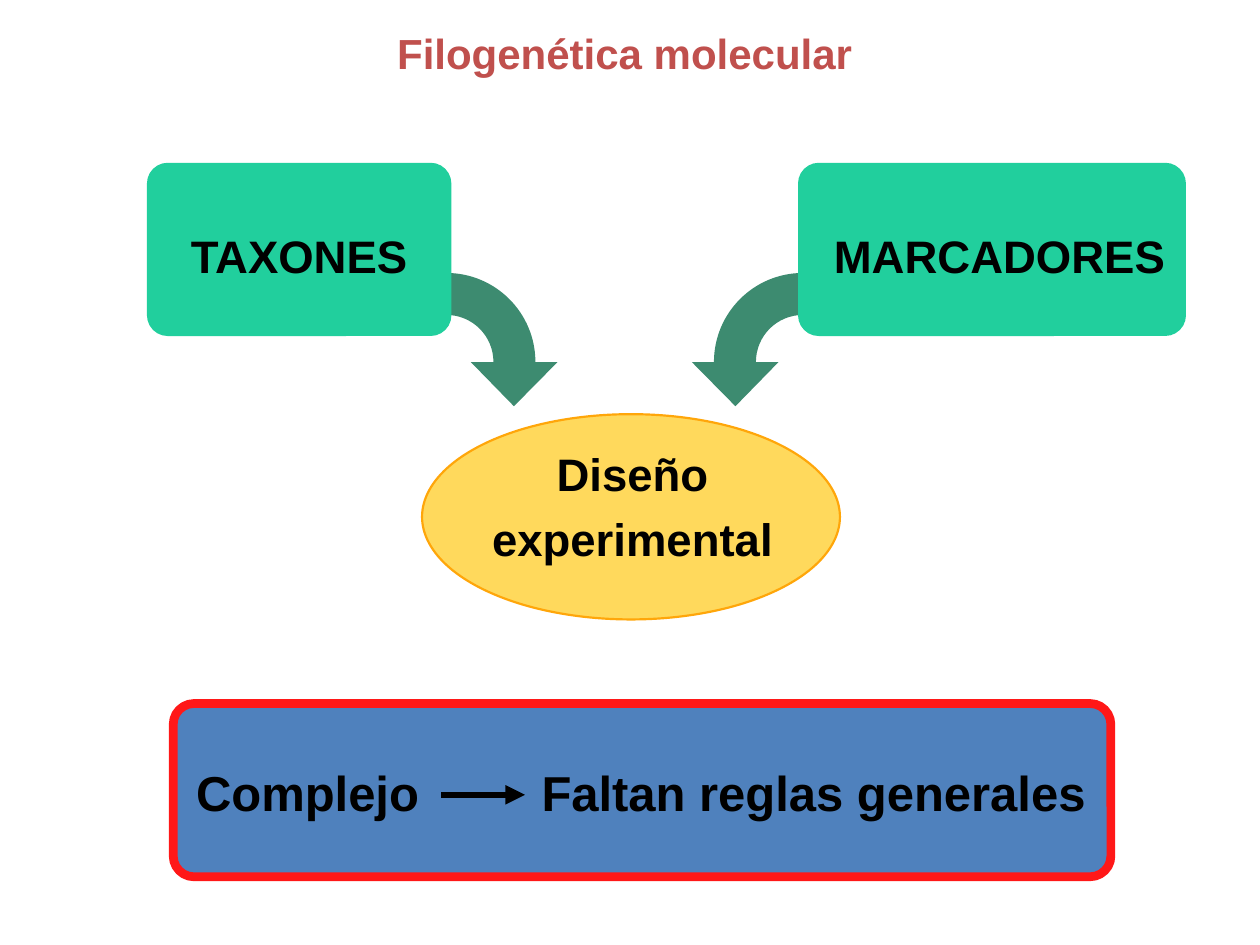
from lxml import etree
from pptx import Presentation
from pptx.dml.color import RGBColor
from pptx.enum.shapes import MSO_CONNECTOR, MSO_SHAPE
from pptx.enum.text import MSO_ANCHOR, MSO_AUTO_SIZE, PP_ALIGN
from pptx.oxml.ns import qn
from pptx.util import Inches, Pt

ROUNDED = MSO_SHAPE.ROUNDED_RECTANGLE
ELLIPSE = MSO_SHAPE.OVAL
STRAIGHT = MSO_CONNECTOR.STRAIGHT
LEFT, CENTER = PP_ALIGN.LEFT, PP_ALIGN.CENTER
TOP, MIDDLE = MSO_ANCHOR.TOP, MSO_ANCHOR.MIDDLE
GROW = MSO_AUTO_SIZE.SHAPE_TO_FIT_TEXT

BLACK = RGBColor(0x00, 0x00, 0x00)
BRICK = RGBColor(0xC0, 0x50, 0x4D)
MINT = RGBColor(0x21, 0xCF, 0x9D)
PINE = RGBColor(0x3D, 0x8B, 0x70)
BLUE = RGBColor(0x4F, 0x81, 0xBD)
RED = RGBColor(0xFF, 0x18, 0x18)
YELLOW = RGBColor(0xFF, 0xD9, 0x5C)
ORANGE = RGBColor(0xFF, 0xA6, 0x0A)

COLUMNS, ROWS = 120, 90
CELL = Inches(10) // COLUMNS
FONT = "Arial"

RADIUS = 8.5
BENT_ARROW = (
    ("moveTo", [(4.5, 0)]),
    ("cubicBezTo", [(4.5, -2.5), (2.5, -4.5), (0, -4.5)]),
    ("cubicBezTo", [(-0.9, -4.5), (-1.8, -4.2), (-2.5, -3.7)]),
    ("lnTo", [(-4.8, -7.1)]),
    ("cubicBezTo", [(-3.4, -8), (-1.7, -8.5), (0, -8.5)]),
    ("cubicBezTo", [(4.7, -8.5), (8.5, -4.7), (8.5, 0)]),
    ("lnTo", [(10.6, 0)]),
    ("lnTo", [(6.45, 4.2)]),
    ("lnTo", [(2.35, 0)]),
    ("close", []),
)


def grid(*cells):
    return [round(cell * CELL) for cell in cells]


def add_text(page, area, text, *, size=26, color=BLACK, align=CENTER,
             anchor=MIDDLE, spacing=1.6, wrap=True, tab=None):
    box = page.shapes.add_textbox(*grid(*area))
    frame = box.text_frame
    frame.word_wrap = wrap
    frame.auto_size = GROW
    frame.vertical_anchor = anchor
    for index, line in enumerate(text.split("\n")):
        para = frame.add_paragraph() if index else frame.paragraphs[0]
        para.alignment = align
        para.line_spacing = spacing
        if tab:
            stops = etree.SubElement(para._p.get_or_add_pPr(), qn("a:tabLst"))
            etree.SubElement(stops, qn("a:tab"), pos=str(grid(tab)[0]), algn="l")
        span = para.add_run()
        span.text = line
        span.font.name = FONT
        span.font.size = Pt(size)
        span.font.bold = True
        span.font.color.rgb = color


def paint(shape, fill, line=None, width=0):
    shape.shadow.inherit = False
    shape.fill.solid()
    shape.fill.fore_color.rgb = fill
    if line is None:
        shape.line.fill.background()
    else:
        shape.line.color.rgb = line
        shape.line.width = Pt(width)


def add_panel(page, kind, area, fill, line=None, width=0):
    panel = page.shapes.add_shape(kind, *grid(*area))
    if kind == ROUNDED:
        panel.adjustments[0] = 0.12
    paint(panel, fill, line, width)


def add_bent_arrow(page, center, row, side):
    left, top, right, bottom = grid(center - RADIUS, row - RADIUS,
                                    center + RADIUS, row + RADIUS)
    builder = page.shapes.build_freeform(left, top)
    builder.add_line_segments([(right, top), (right, bottom), (left, bottom)])
    arrow = builder.convert_to_shape()
    outline = next(arrow._element.iter(qn("a:pathLst")))[0]
    for step in list(outline):
        outline.remove(step)
    for command, points in BENT_ARROW:
        step = etree.SubElement(outline, qn(f"a:{command}"))
        for x, y in points:
            across, down = grid(RADIUS + side * x, RADIUS + y)
            etree.SubElement(step, qn("a:pt"), x=str(across), y=str(down))
    paint(arrow, PINE)


def add_arrow(page, start, end, row):
    arrow = page.shapes.add_connector(STRAIGHT, *grid(start, row, end, row))
    arrow.line.color.rgb = BLACK
    arrow.line.width = Pt(3.75)
    etree.SubElement(arrow.line._get_or_add_ln(), qn("a:tailEnd"), type="triangle")
    etree.SubElement(arrow._element.spPr, qn("a:effectLst"))


def main():
    deck = Presentation()
    deck.slide_width, deck.slide_height = grid(COLUMNS, ROWS)
    page = deck.slides.add_slide(deck.slide_layouts[6])

    for center, side in ((76.5, -1), (42.5, 1)):
        add_bent_arrow(page, center, 34.5, side)

    add_text(page, (3, -0.4, 113, 8), "Filogenética molecular",
             size=24, color=BRICK, anchor=TOP, spacing=1.5)

    for label, left, width, text_left, text_width in (
        ("TAXONES", 14, 29, 16, 25),
        ("MARCADORES", 76, 36.95, 77.5, 35.4),
    ):
        add_panel(page, ROUNDED, (left, 15.5, width, 16.5), MINT)
        add_text(page, (text_left, 18.2, text_width, 9.2), label)

    add_panel(page, ROUNDED, (16.5, 67, 89.3, 16.5), BLUE, RED, 5)
    add_text(page, (17.5, 68.9, 87.4, 9.7), "Complejo\tFaltan reglas generales",
             size=28, align=LEFT, tab=32.9)

    add_panel(page, ELLIPSE, (40.2, 39.45, 39.8, 19.55), YELLOW, ORANGE, 1.25)
    add_text(page, (45.35, 40.85, 29.8, 13.7), "Diseño\nexperimental",
             anchor=TOP, spacing=1.2, wrap=False)
    add_arrow(page, 42, 50, 75.7)

    deck.save("out.pptx")


if __name__ == "__main__":
    main()
